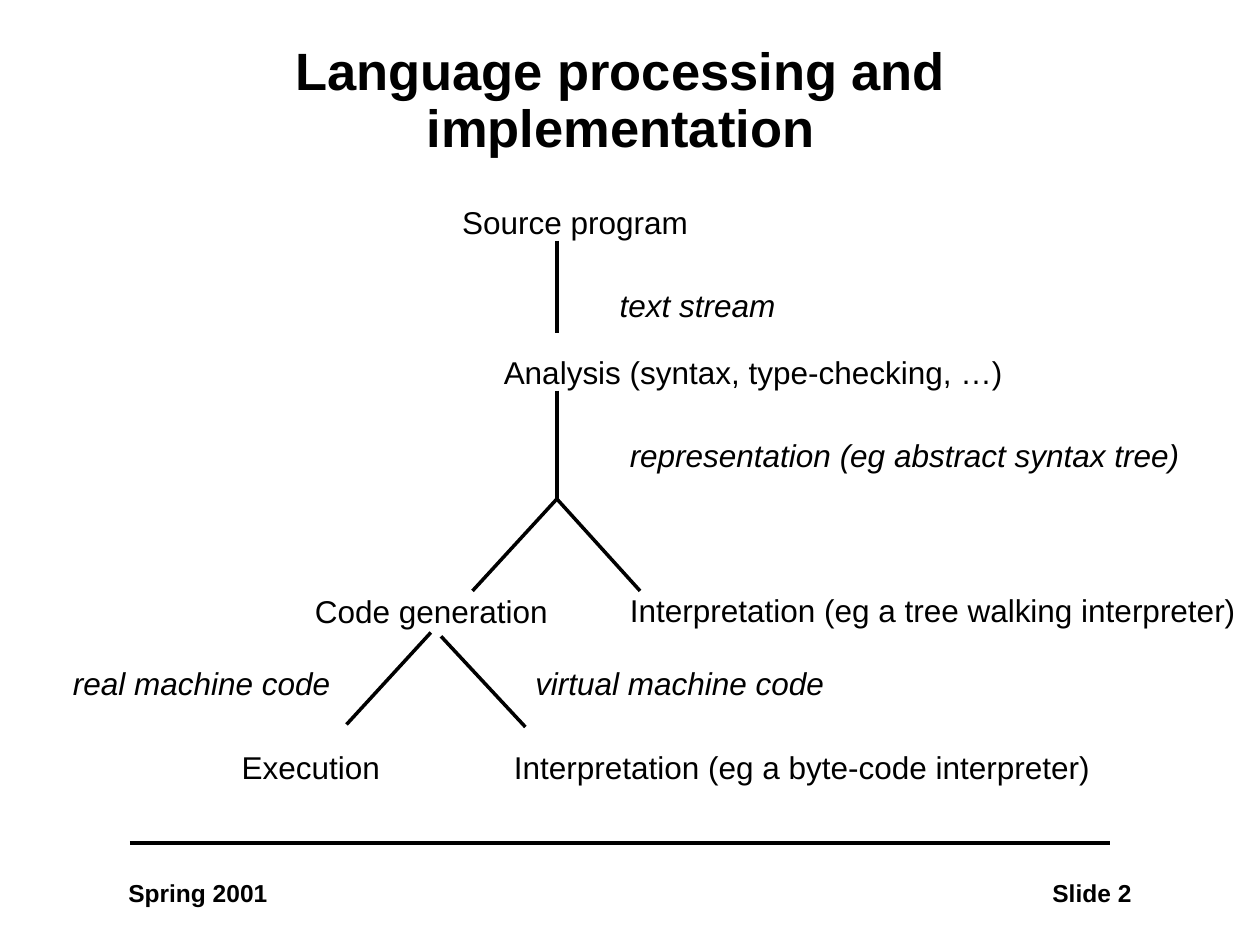
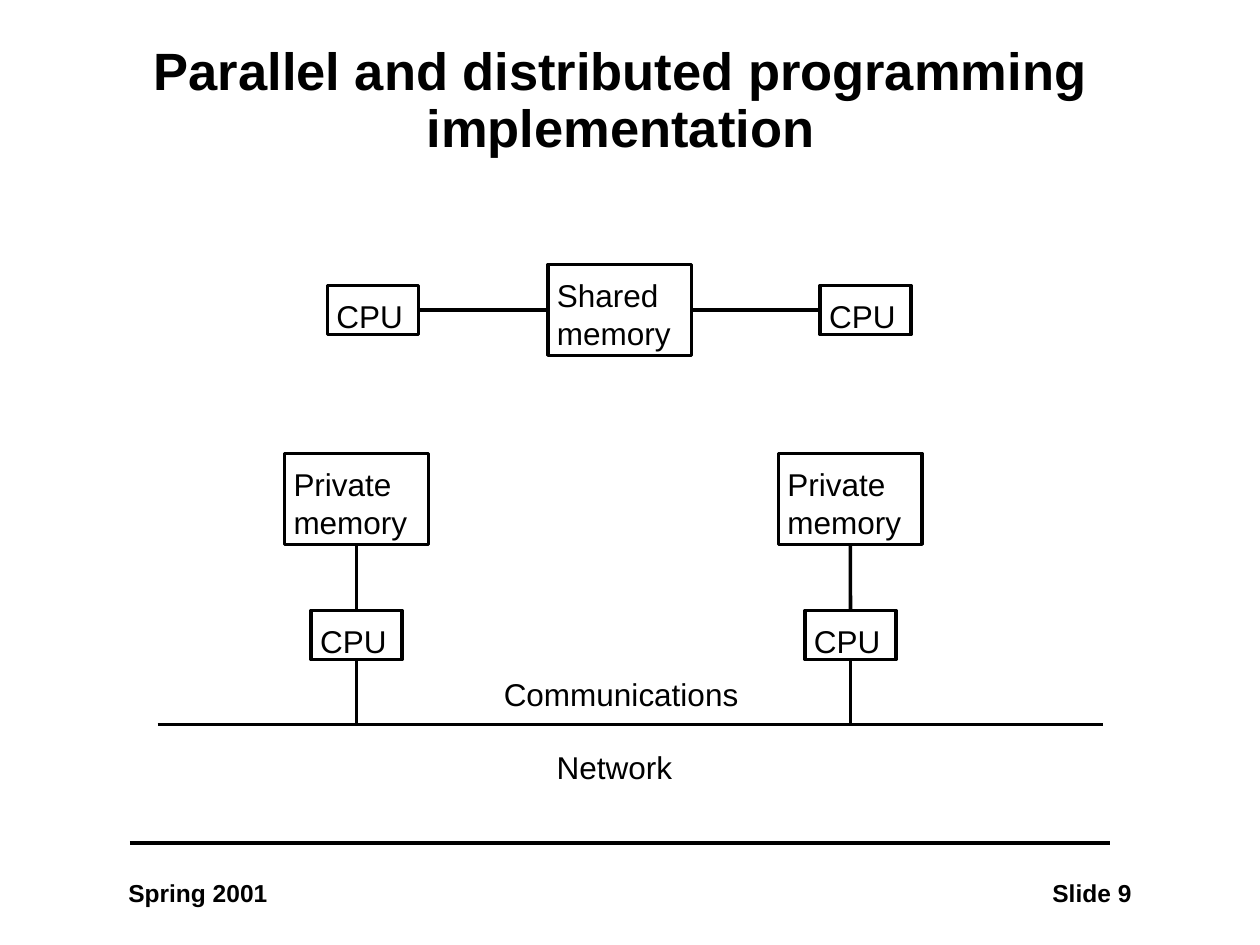
from dataclasses import dataclass
from typing import Any, NamedTuple

from lxml.etree import SubElement
from pptx import Presentation
from pptx.dml.color import RGBColor
from pptx.enum.shapes import MSO_CONNECTOR, MSO_SHAPE
from pptx.enum.text import MSO_ANCHOR, MSO_AUTO_SIZE, PP_ALIGN
from pptx.oxml.ns import qn
from pptx.shapes.autoshape import Shape
from pptx.shapes.connector import Connector
from pptx.slide import Slide
from pptx.text.text import TextFrame
from pptx.util import Inches, Pt


@dataclass(frozen=True)
class Theme:
    ink: RGBColor = RGBColor(0, 0, 0)
    paper: RGBColor = RGBColor(255, 255, 255)
    font: str = "Arial"
    title_size: int = 30
    body_size: int = 18
    footer_size: int = 14
    line_width: int = 2


class Label(NamedTuple):
    text: str
    left: float
    top: float
    width: float
    italic: bool = False


class Line(NamedTuple):
    start: tuple[float, float]
    end: tuple[float, float]


class BoxStyle(NamedTuple):
    text: str
    width: float
    height: float


THEME = Theme()
BLANK_LAYOUT = 6
LABEL_HEIGHT = 0.4
FOOTER_HEIGHT = 0.33
TOP, LEFT, BOTTOM, RIGHT = range(4)

LABEL_FRAME = {"word_wrap": False, "auto_size": MSO_AUTO_SIZE.SHAPE_TO_FIT_TEXT}
TITLE_FRAME = {"word_wrap": True, "vertical_anchor": MSO_ANCHOR.MIDDLE}
BOX_FRAME = {
    "word_wrap": True,
    "vertical_anchor": MSO_ANCHOR.TOP,
    "margin_left": Inches(0.07),
    "margin_top": Inches(0.09),
    "margin_right": 0,
    "margin_bottom": 0,
}
TITLE_FONT = {"size": Pt(THEME.title_size), "bold": True}
BODY_FONT = {"size": Pt(THEME.body_size)}
FOOTER_FONT = {"size": Pt(THEME.footer_size), "bold": True}
LEFT_PARAGRAPH = {"alignment": PP_ALIGN.LEFT}
RIGHT_PARAGRAPH = {"alignment": PP_ALIGN.RIGHT}
TITLE_PARAGRAPH = {"alignment": PP_ALIGN.CENTER, "line_spacing": 0.9}

FOOTER_RULE = Line((1.03, 6.69), (8.81, 6.69))
NETWORK = Line((1.25, 5.75), (8.75, 5.75))

ANALYSIS_FORK = (4.42, 3.96)
LANGUAGE_LINES = [
    Line((4.42, 1.91), (4.42, 2.64)),
    Line((4.42, 3.1), ANALYSIS_FORK),
    Line(ANALYSIS_FORK, (3.75, 4.69)),
    Line(ANALYSIS_FORK, (5.08, 4.69)),
    Line((3.42, 5.02), (2.75, 5.75)),
    Line((3.5, 5.05), (4.17, 5.77)),
]
LANGUAGE_LABELS = [
    Label("Source program", 3.57, 1.56, 1.99),
    Label("text stream", 4.82, 2.22, 1.44, True),
    Label("Analysis (syntax, type-checking, …)", 3.9, 2.75, 4.16),
    Label("representation (eg abstract syntax tree)", 4.9, 3.41, 4.57, True),
    Label("Code generation", 2.4, 4.65, 2.05),
    Label("Interpretation (eg a tree walking interpreter)", 4.9, 4.64, 5.01),
    Label("real machine code", 0.48, 5.22, 2.25, True),
    Label("virtual machine code", 4.15, 5.22, 2.5, True),
    Label("Execution", 1.82, 5.89, 1.3),
    Label("Interpretation (eg a byte-code interpreter)", 3.98, 5.89, 4.77),
]

CPU = BoxStyle("CPU", 0.72, 0.39)
SHARED_MEMORY = BoxStyle("Shared\nmemory", 1.14, 0.72)
PRIVATE_MEMORY = BoxStyle("Private\nmemory", 1.14, 0.72)
SHARED_ROW = 2.46
PRIVATE_ROW = 3.96
CPU_ROW = 5.04
NODE_CENTRES = (2.83, 6.75)
NETWORK_LABELS = [
    Label("Communications", 3.9, 5.31, 2.06),
    Label("Network", 4.32, 5.89, 1.12),
]


def apply_format(target: Any, values: dict[str, Any]) -> None:
    for name, value in values.items():
        setattr(target, name, value)


def write_text(
    frame: TextFrame,
    text: str,
    frame_format: dict[str, Any],
    font_format: dict[str, Any],
    paragraph_format: dict[str, Any],
) -> None:
    frame.text = text
    apply_format(frame, frame_format)
    for paragraph in frame.paragraphs:
        apply_format(paragraph, paragraph_format)
        apply_format(paragraph.font, {"name": THEME.font, **font_format})
        paragraph.font.color.rgb = THEME.ink


def add_text(
    slide: Slide,
    text: str,
    position: tuple[float, float, float, float],
    font_format: dict[str, Any],
    frame_format: dict[str, Any] = LABEL_FRAME,
    paragraph_format: dict[str, Any] = LEFT_PARAGRAPH,
) -> None:
    shape = slide.shapes.add_textbox(*map(Inches, position))
    write_text(shape.text_frame, text, frame_format, font_format, paragraph_format)


def add_label(slide: Slide, label: Label) -> None:
    position = (label.left, label.top, label.width, LABEL_HEIGHT)
    add_text(slide, label.text, position, {**BODY_FONT, "italic": label.italic})


def add_line(slide: Slide, line: Line) -> Connector:
    connector = slide.shapes.add_connector(
        MSO_CONNECTOR.STRAIGHT, *map(Inches, line.start + line.end)
    )
    connector.line.color.rgb = THEME.ink
    connector.line.width = Pt(THEME.line_width)
    SubElement(connector._element.spPr, qn("a:effectLst"))
    return connector


def add_box(slide: Slide, style: BoxStyle, centre_x: float, centre_y: float) -> Shape:
    shape = slide.shapes.add_shape(
        MSO_SHAPE.RECTANGLE,
        Inches(centre_x - style.width / 2),
        Inches(centre_y - style.height / 2),
        Inches(style.width),
        Inches(style.height),
    )
    shape.shadow.inherit = False
    shape.fill.solid()
    shape.fill.fore_color.rgb = THEME.paper
    shape.line.color.rgb = THEME.ink
    shape.line.width = Pt(THEME.line_width)
    write_text(shape.text_frame, style.text, BOX_FRAME, BODY_FONT, LEFT_PARAGRAPH)
    return shape


def join_boxes(
    slide: Slide, first: Shape, first_side: int, second: Shape, second_side: int
) -> None:
    connector = add_line(slide, Line((0, 0), (0, 0)))
    connector.begin_connect(first, first_side)
    connector.end_connect(second, second_side)


def add_base_slide(presentation: Any, title: str, number: int) -> Slide:
    slide = presentation.slides.add_slide(presentation.slide_layouts[BLANK_LAYOUT])
    add_line(slide, FOOTER_RULE)
    add_text(slide, "Spring 2001", (0.92, 6.92, 1.31, FOOTER_HEIGHT), FOOTER_FONT)
    add_text(
        slide,
        f"Slide {number}",
        (7.41, 6.92, 1.67, FOOTER_HEIGHT),
        FOOTER_FONT,
        paragraph_format=RIGHT_PARAGRAPH,
    )
    add_text(
        slide, title, (1.08, 0.33, 7.69, 0.96), TITLE_FONT, TITLE_FRAME, TITLE_PARAGRAPH
    )
    return slide


def build_language_slide(presentation: Any) -> None:
    slide = add_base_slide(presentation, "Language processing and implementation", 2)
    for line in LANGUAGE_LINES:
        add_line(slide, line)
    for label in LANGUAGE_LABELS:
        add_label(slide, label)


def build_parallel_slide(presentation: Any) -> None:
    slide = add_base_slide(
        presentation, "Parallel and distributed programming implementation", 9
    )
    left_cpu = add_box(slide, CPU, 2.96, SHARED_ROW)
    shared_memory = add_box(slide, SHARED_MEMORY, 4.92, SHARED_ROW)
    right_cpu = add_box(slide, CPU, 6.87, SHARED_ROW)
    join_boxes(slide, left_cpu, RIGHT, shared_memory, LEFT)
    join_boxes(slide, shared_memory, RIGHT, right_cpu, LEFT)

    add_line(slide, NETWORK)
    for centre_x in NODE_CENTRES:
        private_memory = add_box(slide, PRIVATE_MEMORY, centre_x, PRIVATE_ROW)
        node_cpu = add_box(slide, CPU, centre_x, CPU_ROW)
        join_boxes(slide, private_memory, BOTTOM, node_cpu, TOP)
        network_link = add_line(
            slide, Line((centre_x, CPU_ROW), (centre_x, NETWORK.start[1]))
        )
        network_link.begin_connect(node_cpu, BOTTOM)
    for label in NETWORK_LABELS:
        add_label(slide, label)


def main() -> None:
    presentation = Presentation()
    presentation.slide_width = Inches(10)
    presentation.slide_height = Inches(7.5)
    build_language_slide(presentation)
    build_parallel_slide(presentation)
    presentation.save("out.pptx")


if __name__ == "__main__":
    main()
